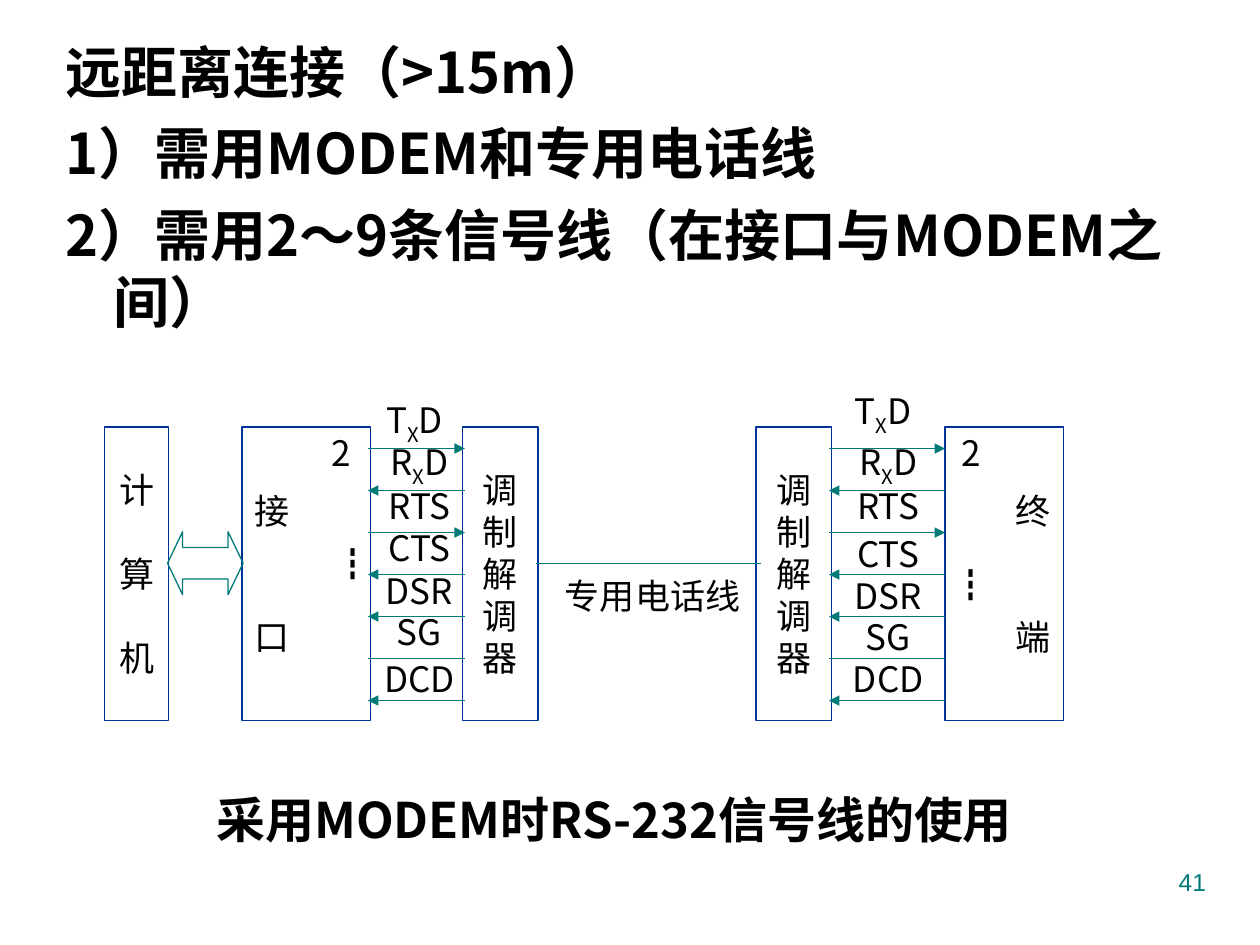
from dataclasses import dataclass

import pptx
import pptx.dml.color
import pptx.enum.shapes
import pptx.enum.text
import pptx.oxml
import pptx.oxml.ns
import pptx.util

Inches = pptx.util.Inches
Pt = pptx.util.Pt
RGBColor = pptx.dml.color.RGBColor
Align = pptx.enum.text.PP_ALIGN
Anchor = pptx.enum.text.MSO_ANCHOR
Shape = pptx.enum.shapes.MSO_SHAPE

BLACK = RGBColor(0x00, 0x00, 0x00)
NAVY = RGBColor(0x00, 0x33, 0x99)
TEAL = RGBColor(0x00, 0x7A, 0x77)
SANS = "Noto Sans CJK SC"
SERIF = "Times New Roman"

BOX_TOP, BOX_HEIGHT = 3.39, 2.33
FIRST_SIGNAL_Y, SIGNAL_STEP = 3.56, 1 / 3
LINE_PITCH = 24  # points per text line in the device boxes


@dataclass
class Device:
    text: str
    left: float
    width: float
    align: Align = Align.CENTER
    skipped_lines: int = 0


@dataclass
class Signal:
    """A wire; direction is 1 to the right, -1 to the left, 0 without arrow.

    Each label is a (top, height) pair; underscores enclose a subscript.
    """
    name: str
    direction: int
    near_label: tuple[float, float]
    far_label: tuple[float, float]
    label_shift: float = 0


@dataclass
class Link:
    start: float
    end: float
    label_left: float
    label_width: float


DEVICES = [
    Device("计算机", 0.83, 0.51, skipped_lines=1),
    Device("接口", 1.92, 1.02, Align.LEFT, 2),
    Device("调制解调器", 3.67, 0.6),
    Device("调制解调器", 6, 0.6),
    Device("终端", 7.5, 0.94, Align.RIGHT, 2),
]
SIGNALS = [
    Signal("T_X_D", 1, (3.14, 0.42), (3, 0.56), -0.04),
    Signal("R_X_D", -1, (3.56, 0.25), (3.56, 0.25)),
    Signal("RTS", 1, (3.89, 0.25), (3.89, 0.25)),
    Signal("CTS", -1, (4.22, 0.25), (4.31, 0.17)),
    Signal("DSR", -1, (4.56, 0.25), (4.64, 0.17)),
    Signal("SG", 0, (4.89, 0.25), (4.97, 0.17)),
    Signal("DCD", -1, (5.22, 0.33), (5.22, 0.33)),
]
NEAR_LINK = Link(2.92, 3.69, 3.03, 0.6)
FAR_LINK = Link(6.58, 7.5, 6.75, 0.6)


def style_paragraph(p, size: float, name: str, color: RGBColor = BLACK,
                    bold: bool = False) -> None:
    font = p.font
    font.size, font.name, font.bold = Pt(size), name, bold
    font.color.rgb = color


def add_runs(p, text: str) -> None:
    """Write text, with the parts between underscores as subscripts."""
    for i, part in enumerate(text.split("_")):
        r = p.add_run()
        r.text = part
        if i % 2:
            r.font._element.set("baseline", "-25000")


def add_label(s, text: str, left: float, top: float, width: float,
              height: float, size: float = 20, bold: bool = False) -> None:
    sp = s.shapes.add_textbox(Inches(left), Inches(top), Inches(width), Inches(height))
    tf = sp.text_frame
    tf.word_wrap = False
    tf.vertical_anchor = Anchor.MIDDLE
    tf.margin_left = tf.margin_right = tf.margin_top = tf.margin_bottom = 0
    p = tf.paragraphs[0]
    p.alignment = Align.CENTER
    add_runs(p, text)
    style_paragraph(p, size, SANS, bold=bold)


def add_outline(s, kind: Shape, left: float, top: float, width: float,
                height: float, color: RGBColor):
    sp = s.shapes.add_shape(kind, Inches(left), Inches(top), Inches(width), Inches(height))
    sp.shadow.inherit = False
    sp.fill.background()
    sp.line.color.rgb = color
    sp.line.width = Pt(0.75)
    return sp


def add_device(s, device: Device) -> None:
    sp = add_outline(s, Shape.RECTANGLE, device.left, BOX_TOP, device.width,
                     BOX_HEIGHT, NAVY)
    tf = sp.text_frame
    tf.word_wrap = False
    tf.vertical_anchor = Anchor.MIDDLE
    for i, char in enumerate(device.text):
        p = tf.add_paragraph() if i else tf.paragraphs[0]
        p.text = char
        p.alignment = device.align
        if i and device.skipped_lines:
            p.space_before = Pt(LINE_PITCH * device.skipped_lines)
        style_paragraph(p, 20, SERIF)


def add_wire(s, start: float, end: float, y: float, arrow: bool = False) -> None:
    line = s.shapes.add_connector(pptx.enum.shapes.MSO_CONNECTOR.STRAIGHT,
                                  Inches(start), Inches(y), Inches(end), Inches(y))
    line.line.color.rgb = TEAL
    line.line.width = Pt(0.75)
    if arrow:
        tail = pptx.oxml.parse_xml(
            f'<a:tailEnd {pptx.oxml.ns.nsdecls("a")} type="triangle"/>')
        line.line._get_or_add_ln().append(tail)
    line._element.spPr.append(
        pptx.oxml.parse_xml(f'<a:effectLst {pptx.oxml.ns.nsdecls("a")}/>'))


def add_signal(s, signal: Signal, link: Link, label: tuple[float, float],
               y: float) -> None:
    start, end = link.start, link.end
    if signal.direction < 0:
        start, end = end, start
    add_wire(s, start, end, y, arrow=signal.direction != 0)
    top, height = label
    add_label(s, signal.name, link.label_left + signal.label_shift, top,
              link.label_width, height)


def add_requirements(s) -> None:
    sp = s.shapes.add_textbox(Inches(0.42), Inches(0.25), Inches(9.33), Inches(2.17))
    tf = sp.text_frame
    tf.word_wrap = True
    lines = ["远距离连接（>15m）", "1）需用MODEM和专用电话线",
             "2）需用2～9条信号线（在接口与MODEM之间）"]
    for i, text in enumerate(lines):
        p = tf.add_paragraph() if i else tf.paragraphs[0]
        p.text = text
        pPr = p._p.get_or_add_pPr()
        pPr.set("marL", str(Inches(0.38)))
        pPr.set("indent", str(-Inches(0.38)))
        if i:
            p.space_before = Pt(8)
        style_paragraph(p, 32, SANS, bold=True)


def add_page_number(s) -> None:
    sp = s.shapes.add_textbox(Inches(7.17), Inches(6.83), Inches(2.5), Inches(0.52))
    sp.text_frame.word_wrap = True
    p = sp.text_frame.paragraphs[0]
    p.text = "41"
    p.alignment = Align.RIGHT
    style_paragraph(p, 14, "Arial", TEAL)


def main() -> None:
    prs = pptx.Presentation()
    prs.slide_width, prs.slide_height = Inches(10), Inches(7.5)
    s = prs.slides.add_slide(prs.slide_layouts[6])

    add_requirements(s)
    for device in DEVICES:
        add_device(s, device)
    bus = add_outline(s, Shape.LEFT_RIGHT_ARROW, 1.33, 4.22, 0.6, 0.5, TEAL)
    bus.adjustments[0], bus.adjustments[1] = 0.5, 0.24

    for i, signal in enumerate(SIGNALS):
        y = FIRST_SIGNAL_Y + i * SIGNAL_STEP
        add_signal(s, signal, NEAR_LINK, signal.near_label, y)
        add_signal(s, signal, FAR_LINK, signal.far_label, y)

    add_wire(s, 4.25, 6.04, 4.47)
    add_label(s, "专用电话线", 4.43, 4.56, 1.5, 0.33)
    for left in (2.58, 7.58):
        add_label(s, "2", left, 3.47, 0.26, 0.25)
    for left, top in ((2.65, 4.06), (7.56, 4.22)):
        add_label(s, "┇", left, top, 0.3, 0.83)

    add_label(s, "采用MODEM时RS-232信号线的使用", 1.4, 6.25, 6.95, 0.5, 28, True)
    add_page_number(s)
    prs.save("out.pptx")


if __name__ == "__main__":
    main()
